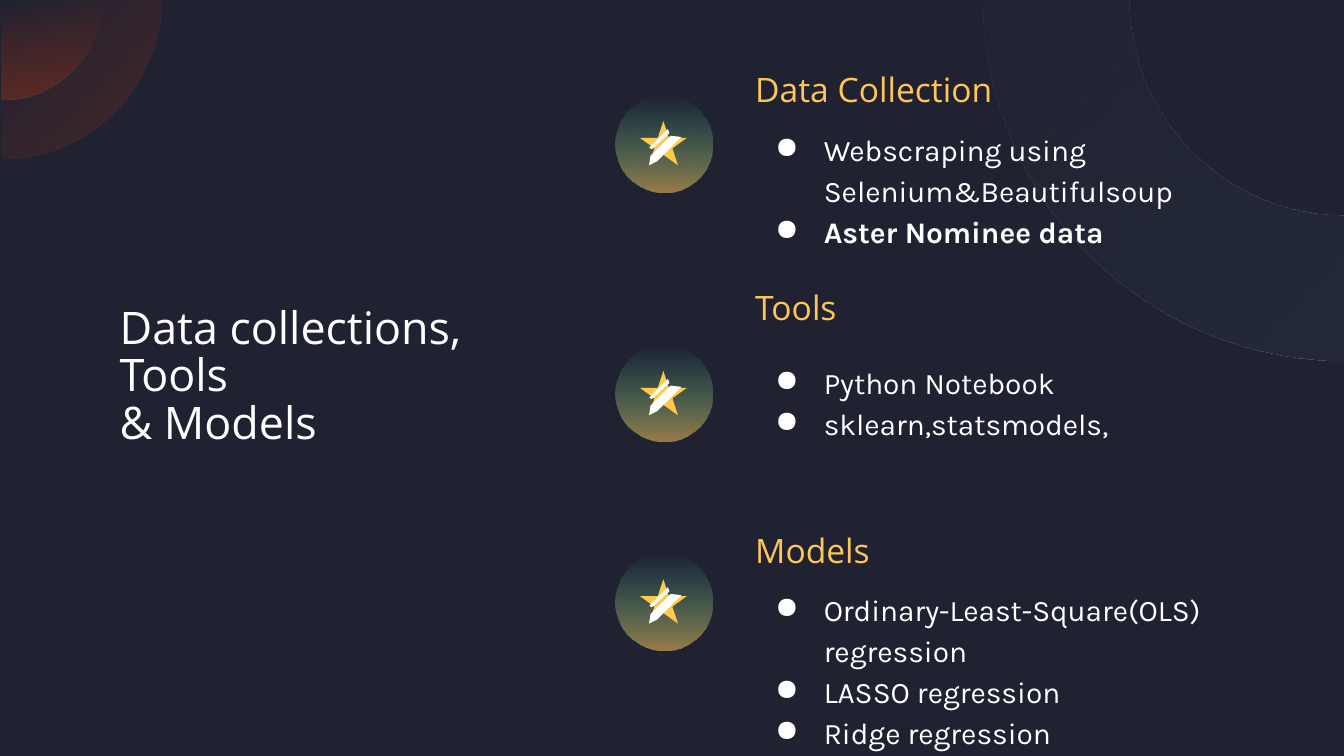
from math import cos, radians, sin

from lxml import etree
from pptx import Presentation
from pptx.dml.color import RGBColor
from pptx.enum.shapes import MSO_SHAPE
from pptx.enum.text import MSO_ANCHOR, MSO_AUTO_SIZE, PP_ALIGN
from pptx.oxml.ns import qn
from pptx.util import Pt

OVAL, STAR = MSO_SHAPE.OVAL, MSO_SHAPE.STAR_5_POINT
TOP, MIDDLE = MSO_ANCHOR.TOP, MSO_ANCHOR.MIDDLE
LEFT, NO_FIT = PP_ALIGN.LEFT, MSO_AUTO_SIZE.NONE

NAVY = RGBColor(0x20, 0x22, 0x31)
WHITE = RGBColor(0xFF, 0xFF, 0xFF)
AMBER = RGBColor(0xFE, 0xC6, 0x59)
GOLD = RGBColor(0xFF, 0xC9, 0x4A)
MINT = RGBColor(0x4A, 0xFF, 0xC3)
RUST = RGBColor(0x9C, 0x32, 0x18)
SLATE = RGBColor(0x25, 0x2C, 0x3A)

TITLE = {"size": Pt(24), "name": "Open Sans", "bold": False}
HEADING = {"size": Pt(18), "name": "Open Sans", "bold": False}
BODY = {"size": Pt(16), "name": "Karla", "bold": False}
BOLD = {**BODY, "bold": True}

# Stripe corners, measured from the badge's top left
STRIPES = (
    [(28, 18), (18, 28), (19.4, 28.8), (28.8, 20.2)],
    [(29.5, 21.6), (18.7, 32.4), (18, 37.4), (22.3, 35.3), (35.3, 22.3)],
)

# Heading top, list top, badge top, list items with their format
SECTIONS = [
    ("Data Collection", 26.6, 60.5, 51.1,
     [("Webscraping using Selenium&Beautifulsoup", BODY),
      ("Aster Nominee data", BOLD)]),
    ("Tools", 143.3, 185.2, 185,
     [("Python Notebook", BODY), ("sklearn,statsmodels,", BODY)]),
    ("Models", 273.6, 306.7, 296.6,
     [("Ordinary-Least-Square(OLS) regression", BODY),
      ("LASSO regression", BODY), ("Ridge regression", BODY)]),
]


def arc(cx, radius, start, steps=60):
    """Points of a quarter circle centred on the slide's top edge."""
    angles = [radians(start + 90 * i / steps) for i in range(steps + 1)]
    return [(cx + radius * cos(a), radius * sin(a)) for a in angles]


class Deck:
    def __init__(self, width, height):
        self.prs = Presentation()
        self.prs.slide_width, self.prs.slide_height = Pt(width), Pt(height)
        self.s = self.prs.slides.add_slide(self.prs.slide_layouts[5])
        self.s.background.fill.solid()
        self.s.background.fill.fore_color.rgb = NAVY

    def paint(self, sp, color):
        sp.shadow.inherit = False
        sp.line.fill.background()
        sp.fill.solid()
        sp.fill.fore_color.rgb = color

    def fade(self, sp, angle, *stops):
        """Gradient of (colour, opacity in percent); angle is counter-clockwise."""
        sp.shadow.inherit = False
        sp.line.fill.background()
        sp.fill.gradient()
        sp.fill.gradient_angle = angle
        for stop, (color, _) in zip(sp.fill.gradient_stops, stops):
            stop.color.rgb = color
        colors = sp._element.spPr.find(qn("a:gradFill")).iter(qn("a:srgbClr"))
        for clr, (_, opacity) in zip(colors, stops):
            etree.SubElement(clr, qn("a:alpha"), val=str(opacity * 1000))

    def polygon(self, shapes, points):
        pts = [(Pt(x), Pt(y)) for x, y in points]
        builder = shapes.build_freeform(*pts[0], scale=1.0)
        builder.add_line_segments(pts[1:], close=True)
        return builder.convert_to_shape()

    def quarter(self, cx, outer, inner, start, angle, *stops):
        inside = arc(cx, inner, start)[::-1] if inner else [(cx, 0)]
        sp = self.polygon(self.s.shapes, arc(cx, outer, start) + inside)
        self.fade(sp, angle, *stops)

    def badge(self, x, y):
        shapes = self.s.shapes.add_group_shape().shapes
        disc = shapes.add_shape(OVAL, Pt(x), Pt(y), Pt(51.8), Pt(51.8))
        self.fade(disc, 90, (AMBER, 55), (MINT, 0))
        star = shapes.add_shape(STAR, Pt(x + 13), Pt(y + 13.7), Pt(25.2), Pt(23.8))
        self.paint(star, GOLD)
        for stripe in STRIPES:
            sp = self.polygon(shapes, [(x + dx, y + dy) for dx, dy in stripe])
            self.paint(sp, WHITE)

    def fill_text(self, tf, lines, color, spacing, anchor=TOP):
        frame = {"word_wrap": True, "auto_size": NO_FIT, "vertical_anchor": anchor}
        for key, value in frame.items():
            setattr(tf, key, value)
        for i, (text, fmt) in enumerate(lines):
            p = tf.add_paragraph() if i else tf.paragraphs[0]
            p.alignment, p.line_spacing = LEFT, spacing
            r = p.add_run()
            r.text = text
            r.font.color.rgb = color
            for key, value in fmt.items():
                setattr(r.font, key, value)

    def text(self, x, y, w, h, lines, color):
        sp = self.s.shapes.add_textbox(Pt(x), Pt(y), Pt(w), Pt(h))
        tf = sp.text_frame
        tf.margin_left = tf.margin_right = tf.margin_top = tf.margin_bottom = Pt(7.2)
        self.fill_text(tf, lines, color, 1.15)
        return tf

    def bullets(self, x, y, w, h, lines):
        for p in self.text(x, y, w, h, lines, WHITE).paragraphs:
            pPr = p._p.get_or_add_pPr()
            pPr.set("marL", str(Pt(36)))
            pPr.set("indent", str(-Pt(26)))
            etree.SubElement(pPr, qn("a:buChar"), char="●")

    def title(self, x, y, w, h, lines):
        sp = self.s.shapes.title
        sp.left, sp.top, sp.width, sp.height = Pt(x), Pt(y), Pt(w), Pt(h)
        self.fill_text(sp.text_frame, [(t, TITLE) for t in lines], WHITE, 0.88, MIDDLE)


def main():
    deck = Deck(720, 405)

    # Corner decoration
    deck.quarter(0.72, 85, 0, 0, 135, (RUST, 30), (RUST, 0))
    deck.quarter(0.72, 53.5, 0, 0, 90, (RUST, 42), (RUST, 0))
    deck.quarter(720, 193, 115.2, 90, 135, (SLATE, 75), (SLATE, 20))

    deck.title(56.9, 149.8, 235.4, 105.1, ["Data collections,", "Tools", "& Models"])

    # Sections with star badges
    for heading, heading_top, list_top, badge_top, items in SECTIONS:
        deck.badge(329.8, badge_top)
        deck.text(397.5, heading_top, 242, 45.4, [(heading, HEADING)], AMBER)
        deck.bullets(398.2, list_top, 265, 59.8, items)

    deck.prs.save("out.pptx")


if __name__ == "__main__":
    main()
